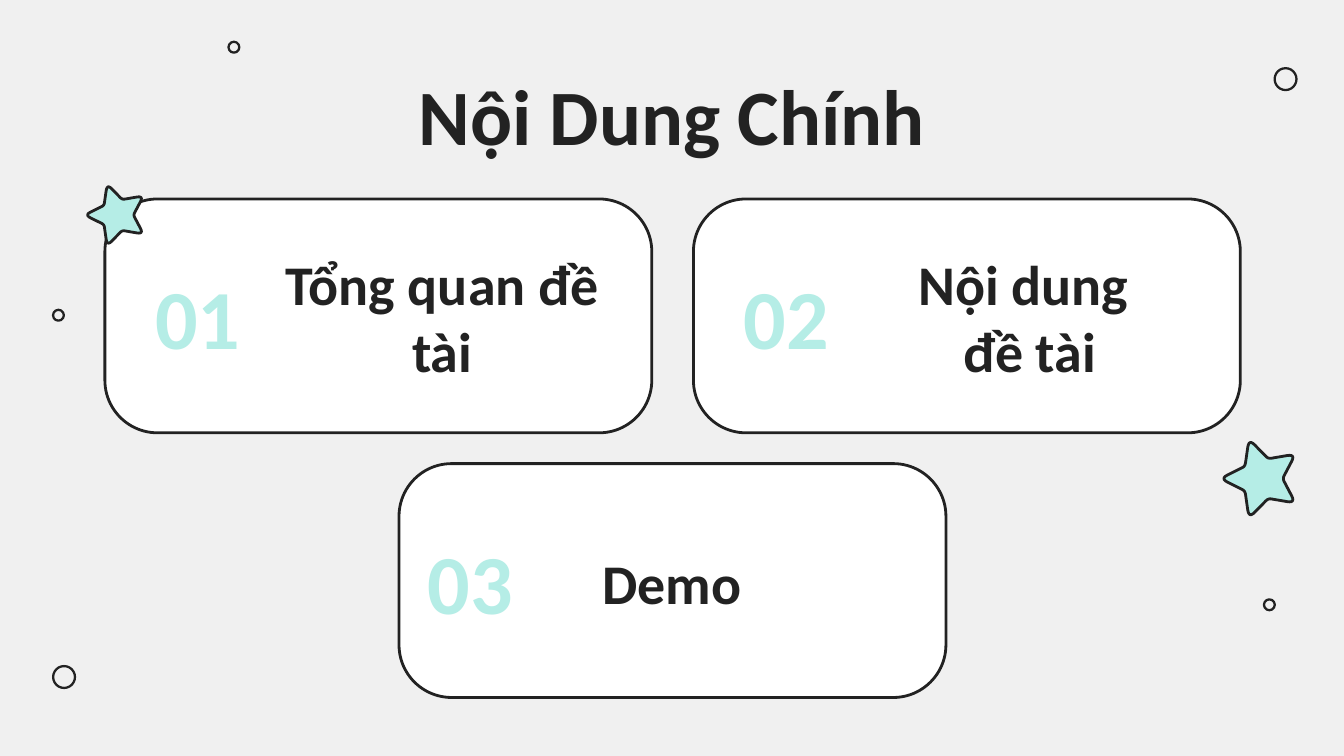
from dataclasses import dataclass
from math import cos, pi, sin

from pptx import Presentation
from pptx.dml.color import RGBColor
from pptx.enum.shapes import MSO_SHAPE
from pptx.enum.text import MSO_ANCHOR, PP_ALIGN
from pptx.util import Pt


@dataclass(frozen=True)
class Theme:
    """Colours, font and sizes in points."""

    paper: RGBColor = RGBColor(0xF0, 0xF0, 0xF0)
    ink: RGBColor = RGBColor(0x22, 0x22, 0x22)
    mint: RGBColor = RGBColor(0xB5, 0xED, 0xE6)
    white: RGBColor = RGBColor(0xFF, 0xFF, 0xFF)
    font: str = "Calibri"
    title_size: float = 42
    number_size: float = 45
    label_size: float = 30
    outline: float = 1.5
    thin_outline: float = 1.23


THEME = Theme()
CARD_WIDTH, CARD_HEIGHT = 293, 125.3
CARDS = [
    ("01", "Tổng quan đề tài", 56.2, 106.6, 21, 90),
    ("02", "Nội dung \vđề tài", 371.5, 106.6, 21, 89.5),
    ("03", "Demo", 213.8, 248.4, 9.4, 55.4),
]
CIRCLES = [
    (34.3, 362.7, 11.7),
    (31.3, 168.9, 5.8),
    (680, 324, 5.8),
    (688.7, 42.4, 11.7),
    (125.3, 25.3, 5.8),
]
STARS = [(676, 256.4, 22.3), (62.8, 115.2, 17.4)]


def style_shape(shape, fill, line_width):
    """Give a shape its fill, or none, and an ink outline."""
    shape.shadow.inherit = False
    if fill is None:
        shape.fill.background()
    else:
        shape.fill.solid()
        shape.fill.fore_color.rgb = fill
    shape.line.color.rgb = THEME.ink
    shape.line.width = Pt(line_width)


def add_text(slide, text, left, top, width, height, size, color):
    """Add centred bold text in a box without margins."""
    box = slide.shapes.add_textbox(Pt(left), Pt(top), Pt(width), Pt(height))
    frame_format = {
        "word_wrap": True,
        "vertical_anchor": MSO_ANCHOR.MIDDLE,
        "margin_left": 0,
        "margin_top": 0,
        "margin_right": 0,
        "margin_bottom": 0,
    }
    for name, value in frame_format.items():
        setattr(box.text_frame, name, value)
    para = box.text_frame.paragraphs[0]
    para.text = text
    para.alignment = PP_ALIGN.CENTER
    font_format = {"name": THEME.font, "size": Pt(size), "bold": True}
    for span in para.runs:
        for name, value in font_format.items():
            setattr(span.font, name, value)
        span.font.color.rgb = color


def add_card(slide, number, label, left, top, number_offset, label_offset):
    """Add a rounded card with its number and label."""
    card = slide.shapes.add_shape(
        MSO_SHAPE.ROUNDED_RECTANGLE, Pt(left), Pt(top), Pt(CARD_WIDTH), Pt(CARD_HEIGHT)
    )
    card.adjustments[0] = 0.225
    style_shape(card, THEME.white, THEME.outline)
    add_text(slide, label, left + label_offset, top + 6.3, 181.4, 113.8,
             THEME.label_size, THEME.ink)
    add_text(slide, number, left + number_offset, top + 27, 57.6, 71.3,
             THEME.number_size, THEME.mint)


def add_circle(slide, center_x, center_y, diameter):
    """Add a small hollow circle around a centre."""
    circle = slide.shapes.add_shape(
        MSO_SHAPE.OVAL, Pt(center_x - diameter / 2), Pt(center_y - diameter / 2),
        Pt(diameter), Pt(diameter)
    )
    style_shape(circle, None, THEME.thin_outline)


def blend(first, second, share):
    """Return the point at a share of the way between two points."""
    return tuple(a + (b - a) * share for a, b in zip(first, second))


def star_points(center_x, center_y, radius, steps=6):
    """Return the outline of a five-pointed star with rounded corners."""
    corners = []
    for index in range(10):
        reach = radius * (0.5 if index % 2 else 1)
        angle = pi + index * pi / 5
        corners.append((center_x + reach * cos(angle), center_y + reach * sin(angle)))
    points = []
    for index, corner in enumerate(corners):
        cut = 0.12 if index % 2 else 0.3
        start = blend(corner, corners[index - 1], cut)
        end = blend(corner, corners[(index + 1) % 10], cut)
        for step in range(steps + 1):
            share = step / steps
            points.append(blend(blend(start, corner, share), blend(corner, end, share), share))
    return [(Pt(x), Pt(y)) for x, y in points]


def add_star(slide, center_x, center_y, radius):
    """Add a filled star with rounded corners."""
    start, *rest = star_points(center_x, center_y, radius)
    builder = slide.shapes.build_freeform(*start)
    builder.add_line_segments(rest, close=True)
    style_shape(builder.convert_to_shape(), THEME.mint, THEME.outline)


def main():
    """Build and save the contents slide."""
    deck = Presentation()
    deck.slide_width, deck.slide_height = Pt(720), Pt(405)
    page = deck.slides.add_slide(deck.slide_layouts[6])
    page.background.fill.solid()
    page.background.fill.fore_color.rgb = THEME.paper
    for circle in CIRCLES:
        add_circle(page, *circle)
    add_text(page, "Nội Dung Chính", 56.2, 42.5, 607.7, 37.4, THEME.title_size, THEME.ink)
    for card in CARDS:
        add_card(page, *card)
    for star in STARS:
        add_star(page, *star)
    deck.save("out.pptx")


if __name__ == "__main__":
    main()
